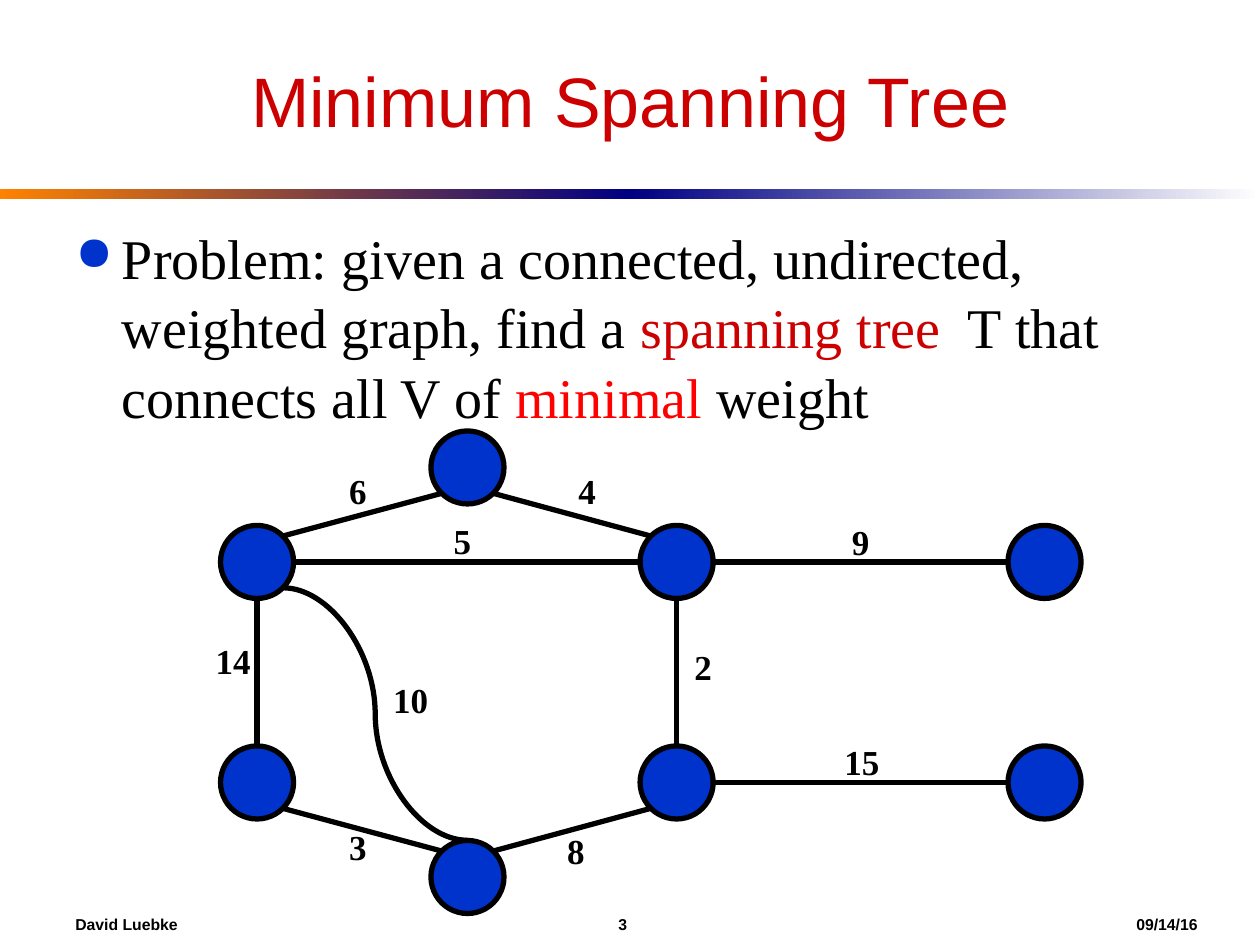
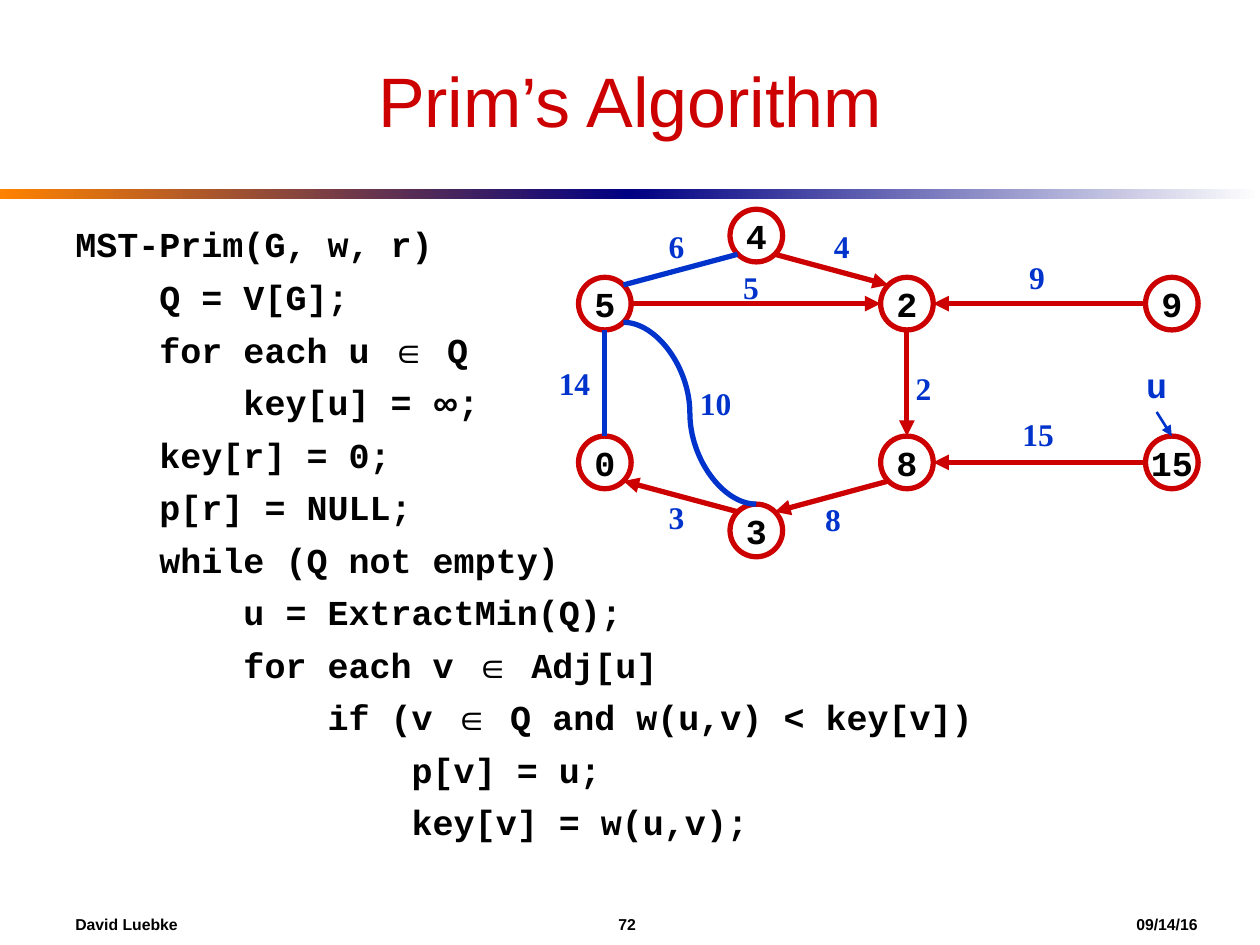
from dataclasses import dataclass
from itertools import groupby
from typing import NamedTuple, Optional

from lxml import etree
from pptx import Presentation
from pptx import util as u
from pptx.dml.color import RGBColor
from pptx.enum import shapes, text
from pptx.oxml.ns import qn

ORANGE = RGBColor(0xFF, 0x82, 0x00)
NAVY = RGBColor(0x00, 0x00, 0x82)
WHITE = RGBColor(0xFF, 0xFF, 0xFF)
BLACK = RGBColor(0x00, 0x00, 0x00)
CRIMSON = RGBColor(0xCC, 0x00, 0x00)
RED = RGBColor(0xFF, 0x00, 0x00)
BLUE = RGBColor(0x00, 0x33, 0xCC)

SANS, SERIF, MONO = "Arial", "Times New Roman", "Courier New"
AUTHOR, LECTURE_DATE = "David Luebke", "09/14/16"
NODE_DIAMETER = 0.58
DIAGONAL = 0.71

SITES = {
    "n": (0, -1), "s": (0, 1), "w": (-1, 0), "e": (1, 0),
    "nw": (-DIAGONAL, -DIAGONAL), "ne": (DIAGONAL, -DIAGONAL),
    "sw": (-DIAGONAL, DIAGONAL), "se": (DIAGONAL, DIAGONAL),
}

VERTICES = {
    "upper left": (0, 0), "upper mid": (3.33, 0), "upper right": (6.25, 0),
    "lower left": (0, 1.75), "lower mid": (3.33, 1.75), "lower right": (6.25, 1.75),
    "bottom": (1.67, 2.5), "top": (1.67, -0.75),
}


class Point(NamedTuple):
    """A place on the slide in inches."""
    x: float
    y: float


class Edge(NamedTuple):
    """A weighted edge between two vertex sites, directed to the parent."""
    weight: str
    start: str
    start_site: str
    end: str
    end_site: str
    curved: bool = False


EDGES = [
    Edge("4", "top", "se", "upper mid", "nw"),
    Edge("6", "top", "sw", "upper left", "ne"),
    Edge("5", "upper left", "e", "upper mid", "w"),
    Edge("14", "lower left", "n", "upper left", "s"),
    Edge("3", "bottom", "nw", "lower left", "se"),
    Edge("8", "lower mid", "sw", "bottom", "ne"),
    Edge("2", "upper mid", "s", "lower mid", "n"),
    Edge("9", "upper right", "w", "upper mid", "e"),
    Edge("15", "lower right", "w", "lower mid", "e"),
    Edge("10", "bottom", "n", "upper left", "se", True),
]


class TextStyle(NamedTuple):
    """Font settings of a run."""
    font: str
    size: float
    color: RGBColor
    bold: bool = False


@dataclass
class Graph:
    """One drawing of the shared graph."""
    origin: Point
    scale: float
    outline: RGBColor
    fill: Optional[RGBColor]
    label_style: TextStyle
    label_centres: dict[str, Point]
    keys: dict[str, str]
    tree_weights: frozenset[str]
    other_color: RGBColor

    def centre(self, vertex: str) -> Point:
        """Return the centre of a vertex."""
        dx, dy = VERTICES[vertex]
        return Point(self.origin.x + dx * self.scale, self.origin.y + dy * self.scale)

    def site(self, vertex: str, side: str) -> Point:
        """Return a connection site on the rim of a vertex."""
        centre, (dx, dy) = self.centre(vertex), SITES[side]
        radius = NODE_DIAMETER * self.scale / 2
        return Point(centre.x + dx * radius, centre.y + dy * radius)


TITLE = TextStyle(SANS, 40, CRIMSON)
FOOTER = TextStyle(SANS, 9, BLACK, True)
CODE = TextStyle(MONO, 20, BLACK, True)
POINTER = TextStyle(MONO, 20, BLUE, True)

PROBLEM = [
    ("Problem: given a connected, undirected, weighted graph, find a ", BLACK),
    ("spanning tree", CRIMSON),
    ("  T that connects all V of ", BLACK),
    ("minimal ", RED),
    ("weight", BLACK),
]

PRIM_CODE = """MST-Prim(G, w, r)
    Q = V[G];
    for each u ∈ Q
        key[u] = ∞;
    key[r] = 0;
    p[r] = NULL;
    while (Q not empty)
        u = ExtractMin(Q);
        for each v ∈ Adj[u]
            if (v ∈ Q and w(u,v) < key[v])
                p[v] = u;
                key[v] = w(u,v);"""

PLAIN_GRAPH = Graph(
    Point(2.04, 4.46), 1, BLACK, BLUE, TextStyle(SERIF, 20, BLACK, True),
    {"14": Point(1.85, 5.24), "10": Point(3.26, 5.55), "3": Point(2.84, 6.72),
     "6": Point(2.84, 3.89), "4": Point(4.66, 3.89), "5": Point(3.67, 4.29),
     "2": Point(5.58, 5.29), "9": Point(6.83, 4.3), "15": Point(6.84, 6.04),
     "8": Point(4.57, 6.75)},
    {}, frozenset(), BLACK)

PRIM_GRAPH = Graph(
    Point(4.8, 2.41), 0.72, CRIMSON, None, TextStyle(SERIF, 18, BLUE, True),
    {"14": Point(4.56, 3.04), "10": Point(5.68, 3.2), "3": Point(5.37, 4.1),
     "6": Point(5.37, 1.95), "4": Point(6.68, 1.95), "5": Point(5.96, 2.28),
     "2": Point(7.33, 3.08), "9": Point(8.23, 2.2), "15": Point(8.24, 3.44),
     "8": Point(6.61, 4.12)},
    {"upper left": "5", "upper mid": "2", "upper right": "9", "lower left": "0",
     "lower mid": "8", "lower right": "15", "bottom": "3", "top": "4"},
    frozenset({"2", "3", "4", "5", "8", "9", "15"}), BLUE)


def style_run(run, style: TextStyle) -> None:
    """Apply a text style to a run."""
    run.font.name = style.font
    run.font.size = u.Pt(style.size)
    run.font.bold = style.bold
    run.font.color.rgb = style.color


def add_run(paragraph, words: str, style: TextStyle) -> None:
    """Append a styled run."""
    run = paragraph.add_run()
    run.text = words
    style_run(run, style)


def add_box(slide, left: float, top: float, width: float, height: float, wrap: bool = True):
    """Add an empty text box and return its text frame."""
    box = slide.shapes.add_textbox(*map(u.Inches, (left, top, width, height)))
    box.text_frame.word_wrap = wrap
    return box.text_frame


def set_centred(frame, words: str, style: TextStyle) -> None:
    """Put one centred line in the middle of a frame."""
    frame.text = words
    frame.vertical_anchor = text.MSO_ANCHOR.MIDDLE
    frame.paragraphs[0].alignment = text.PP_ALIGN.CENTER
    style_run(frame.paragraphs[0].runs[0], style)


def add_label(slide, words: str, centre: Point, style: TextStyle) -> None:
    """Add a short label around its centre."""
    width = 0.2 + 0.01 * style.size * len(words)
    height = 0.1 + style.size / 60
    frame = add_box(slide, centre.x - width / 2, centre.y - height / 2, width, height, False)
    set_centred(frame, words, style)


def add_line(slide, start: Point, end: Point, color: RGBColor, weight: float = 3,
             arrow: bool = False, curved: bool = False) -> None:
    """Draw a straight or curved connector."""
    kind = shapes.MSO_CONNECTOR.CURVE if curved else shapes.MSO_CONNECTOR.STRAIGHT
    connector = slide.shapes.add_connector(kind, *map(u.Inches, (*start, *end)))
    connector.line.color.rgb = color
    connector.line.width = u.Pt(weight)
    properties = connector._element.spPr
    if arrow:
        etree.SubElement(properties.find(qn("a:ln")), qn("a:tailEnd"), type="triangle")
    etree.SubElement(properties, qn("a:effectLst"))


def add_graph(slide, graph: Graph) -> None:
    """Draw the vertices, edges and weights of a graph."""
    diameter = NODE_DIAMETER * graph.scale
    for vertex in VERTICES:
        centre = graph.centre(vertex)
        node = slide.shapes.add_shape(
            shapes.MSO_SHAPE.OVAL, u.Inches(centre.x - diameter / 2),
            u.Inches(centre.y - diameter / 2), u.Inches(diameter), u.Inches(diameter))
        node.shadow.inherit = False
        node.line.color.rgb = graph.outline
        node.line.width = u.Pt(3)
        if graph.fill is None:
            node.fill.background()
        else:
            node.fill.solid()
            node.fill.fore_color.rgb = graph.fill
        if vertex in graph.keys:
            node.text_frame.word_wrap = False
            set_centred(node.text_frame, graph.keys[vertex], CODE)
    for edge in EDGES:
        in_tree = edge.weight in graph.tree_weights
        add_line(slide, graph.site(edge.start, edge.start_site),
                 graph.site(edge.end, edge.end_site),
                 graph.outline if in_tree else graph.other_color,
                 arrow=in_tree, curved=edge.curved)
    for weight, centre in graph.label_centres.items():
        add_label(slide, weight, centre, graph.label_style)


def add_base_slide(deck, title: str, number: int):
    """Add a slide with its gradient band, footer and title."""
    slide = deck.slides.add_slide(deck.slide_layouts[6])
    for left, colors in ((0, (ORANGE, NAVY)), (5, (NAVY, WHITE))):
        band = slide.shapes.add_shape(
            shapes.MSO_SHAPE.RECTANGLE, *map(u.Inches, (left, 1.5, 5, 0.08)))
        band.shadow.inherit = False
        band.line.fill.background()
        band.fill.gradient()
        band.fill.gradient_angle = 0
        for stop, color in zip(band.fill.gradient_stops, colors):
            stop.color.rgb = color
    footer = add_box(slide, 0.5, 7.17, 9.2, 0.33)
    footer.vertical_anchor = text.MSO_ANCHOR.MIDDLE
    line = footer.paragraphs[0]
    tabs = etree.SubElement(line._p.get_or_add_pPr(), qn("a:tabLst"))
    for position in (4.31, 8.42):
        etree.SubElement(tabs, qn("a:tab"), pos=str(u.Inches(position)), algn="l")
    add_run(line, f"{AUTHOR}\t{number}\t{LECTURE_DATE}", FOOTER)
    set_centred(add_box(slide, 0.5, 0.25, 9, 1.08), title, TITLE)
    return slide


def add_problem(slide) -> None:
    """Add the bulleted problem statement."""
    statement = add_box(slide, 0.5, 1.7, 9, 1.75).paragraphs[0]
    properties = statement._p.get_or_add_pPr()
    properties.set("marL", str(u.Inches(0.37)))
    properties.set("indent", str(u.Inches(-0.37)))
    bullet_color = etree.SubElement(properties, qn("a:buClr"))
    etree.SubElement(bullet_color, qn("a:srgbClr"), val=str(BLUE))
    etree.SubElement(properties, qn("a:buSzPct"), val="85000")
    etree.SubElement(properties, qn("a:buChar"), char="●")
    statement.line_spacing = 1.04
    for words, color in PROBLEM:
        add_run(statement, words, TextStyle(SERIF, 32, color))


def add_code(slide) -> None:
    """Add the pseudocode, with its mathematical symbols in the sans font."""
    frame = add_box(slide, 0.5, 1.72, 9, 4.75)
    for index, code_line in enumerate(PRIM_CODE.splitlines()):
        paragraph = frame.add_paragraph() if index else frame.paragraphs[0]
        if index:
            paragraph.space_before = u.Pt(6)
        for is_symbol, letters in groupby(code_line, key=lambda letter: letter in "∈∞"):
            style = CODE._replace(font=SANS) if is_symbol else CODE
            add_run(paragraph, "".join(letters), style)


def main() -> None:
    """Build and save the two slides."""
    deck = Presentation()
    deck.slide_width, deck.slide_height = u.Inches(10), u.Inches(7.5)

    spanning_tree = add_base_slide(deck, "Minimum Spanning Tree", 3)
    add_problem(spanning_tree)
    add_graph(spanning_tree, PLAIN_GRAPH)

    prim = add_base_slide(deck, "Prim’s Algorithm", 72)
    add_code(prim)
    add_graph(prim, PRIM_GRAPH)
    add_label(prim, "u", Point(9.18, 3.05), POINTER)
    add_line(prim, Point(9.18, 3.27), PRIM_GRAPH.site("lower right", "n"), BLUE, 1.5, True)

    deck.save("out.pptx")


if __name__ == "__main__":
    main()
